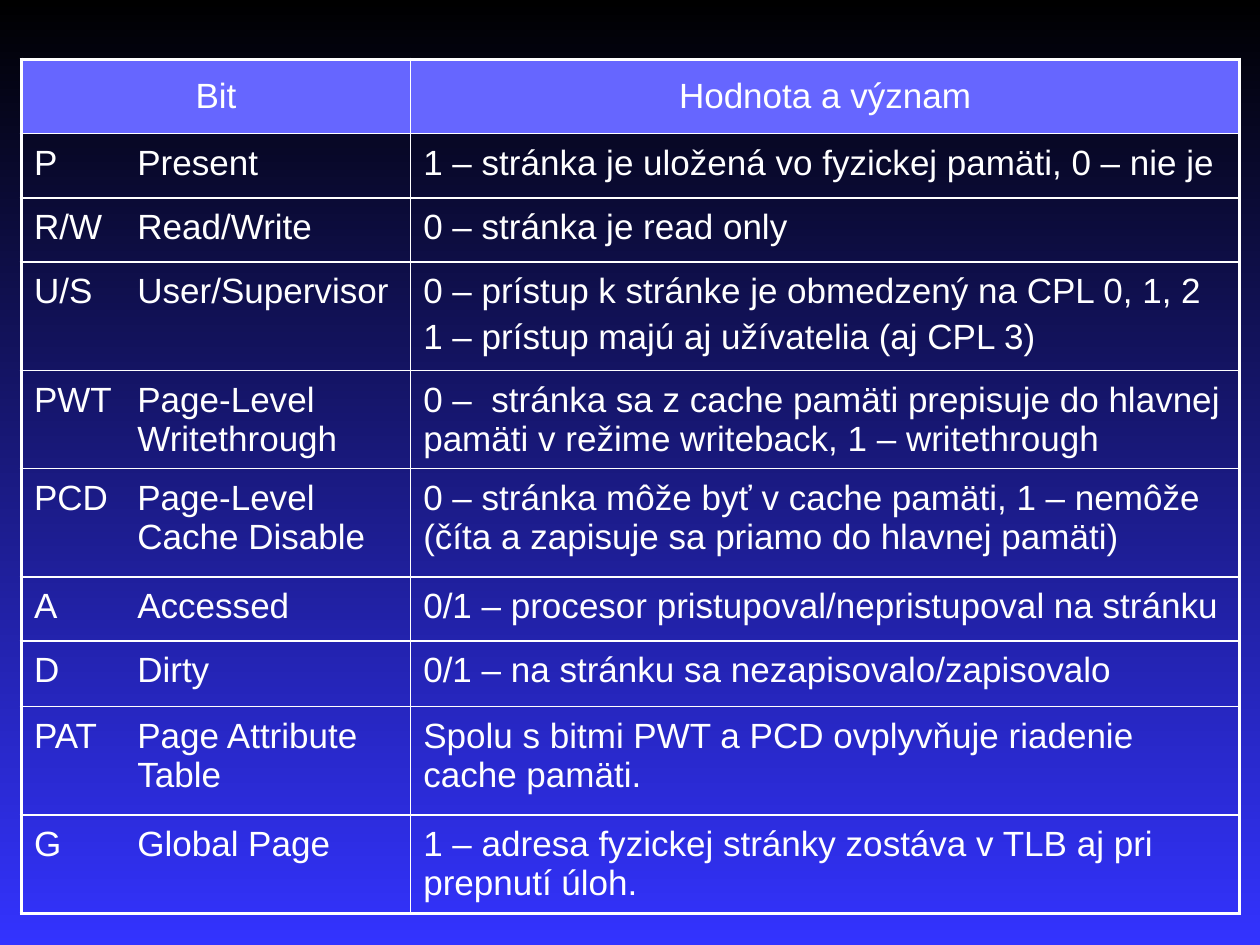
"""Build a slide with a table of page table entry bits."""
import pptx
import pptx.dml.color
import pptx.enum.text
import pptx.oxml
import pptx.oxml.ns
import pptx.util

Inches, Pt = pptx.util.Inches, pptx.util.Pt
WHITE, HEADER = "FFFFFF", "6666FF"
BACKGROUND = ["000000", "3333FF"]
THIN, THICK = 1, 2.25
COLS = [0.92, 2.17, 6.58]
FONT = {"name": "Arial", "size": Pt(20)}
HEAD = ("Bit", "", "Hodnota a význam")
BITS = [
    (0.51, "P", "Present", "1 – stránka je uložená vo fyzickej pamäti, 0 – nie je"),
    (0.51, "R/W", "Read/Write", "0 – stránka je read only"),
    (0.86, "U/S", "User/Supervisor",
     "0 – prístup k stránke je obmedzený na CPL 0, 1, 2\n"
     "1 – prístup majú aj užívatelia (aj CPL 3)"),
    (0.46, "PWT", "Page-Level Writethrough",
     "0 –  stránka sa z cache pamäti prepisuje do hlavnej pamäti "
     "v režime writeback, 1 – writethrough"),
    (0.86, "PCD", "Page-Level Cache Disable",
     "0 – stránka môže byť v cache pamäti, 1 – nemôže "
     "(číta a zapisuje sa priamo do hlavnej pamäti)"),
    (0.51, "A", "Accessed", "0/1 – procesor pristupoval/nepristupoval na stránku"),
    (0.52, "D", "Dirty", "0/1 – na stránku sa nezapisovalo/zapisovalo"),
    (0.86, "PAT", "Page Attribute Table",
     "Spolu s bitmi PWT a PCD ovplyvňuje riadenie cache pamäti."),
    (0.52, "G", "Global Page",
     "1 – adresa fyzickej stránky zostáva v TLB aj pri prepnutí úloh."),
]
ROWS = [(0.59, *HEAD), *BITS]


def rgb(color):
    return pptx.dml.color.RGBColor.from_string(color)


def set_borders(cell, widths):
    tc_pr = cell._tc.get_or_add_tcPr()
    for i, (side, width) in enumerate(widths.items()):
        fill = f'<a:solidFill><a:srgbClr val="{WHITE}"/></a:solidFill>' if width else "<a:noFill/>"
        tc_pr.insert(i, pptx.oxml.parse_xml(
            f'<a:ln{side} {pptx.oxml.ns.nsdecls("a")} w="{Pt(width)}">{fill}</a:ln{side}>'))


def fill_cell(cell, text, row, col):
    header = row == 0
    tf = cell.text_frame
    tf.text = text
    for i, p in enumerate(tf.paragraphs):
        if i:
            p.space_before = Pt(4)
        if header:
            p.alignment = pptx.enum.text.PP_ALIGN.CENTER
        p.font.color.rgb = rgb(WHITE)
        for name, value in FONT.items():
            setattr(p.font, name, value)
    side = 0 if col == 1 else 0.1
    right = 0.04 if (row, col) == (1, 2) else side
    margins = {"left": side, "right": right, "top": 0.08, "bottom": 0.08}
    for name, value in margins.items():
        setattr(cell, f"margin_{name}", Inches(value))
    if header:
        cell.vertical_anchor = pptx.enum.text.MSO_ANCHOR.MIDDLE
        cell.fill.solid()
        cell.fill.fore_color.rgb = rgb(HEADER)
    else:
        cell.fill.background()
    set_borders(cell, {
        "L": (THICK, 0, THIN)[col],
        "R": (THIN if header else 0, THIN, THICK)[col],
        "T": THICK if header else THIN,
        "B": THICK if row == len(ROWS) - 1 else THIN,
    })


def main():
    prs = pptx.Presentation()
    prs.slide_width, prs.slide_height = Inches(10), Inches(7.5)
    s = prs.slides.add_slide(prs.slide_layouts[6])
    bg = s.background.fill
    bg.gradient()
    bg.gradient_angle = 270
    for stop, color in zip(bg.gradient_stops, BACKGROUND):
        stop.color.rgb = rgb(color)

    table = s.shapes.add_table(len(ROWS), len(COLS), Inches(0.17), Inches(0.47),
                               Inches(sum(COLS)), Inches(6.93)).table
    table.first_row = table.horz_banding = False
    for column, width in zip(table.columns, COLS):
        column.width = Inches(width)
    for r, (height, *texts) in enumerate(ROWS):
        table.rows[r].height = Inches(height)
        for c, text in enumerate(texts):
            fill_cell(table.cell(r, c), text, r, c)
    table.cell(0, 0).merge(table.cell(0, 1))
    prs.save("out.pptx")


if __name__ == "__main__":
    main()
